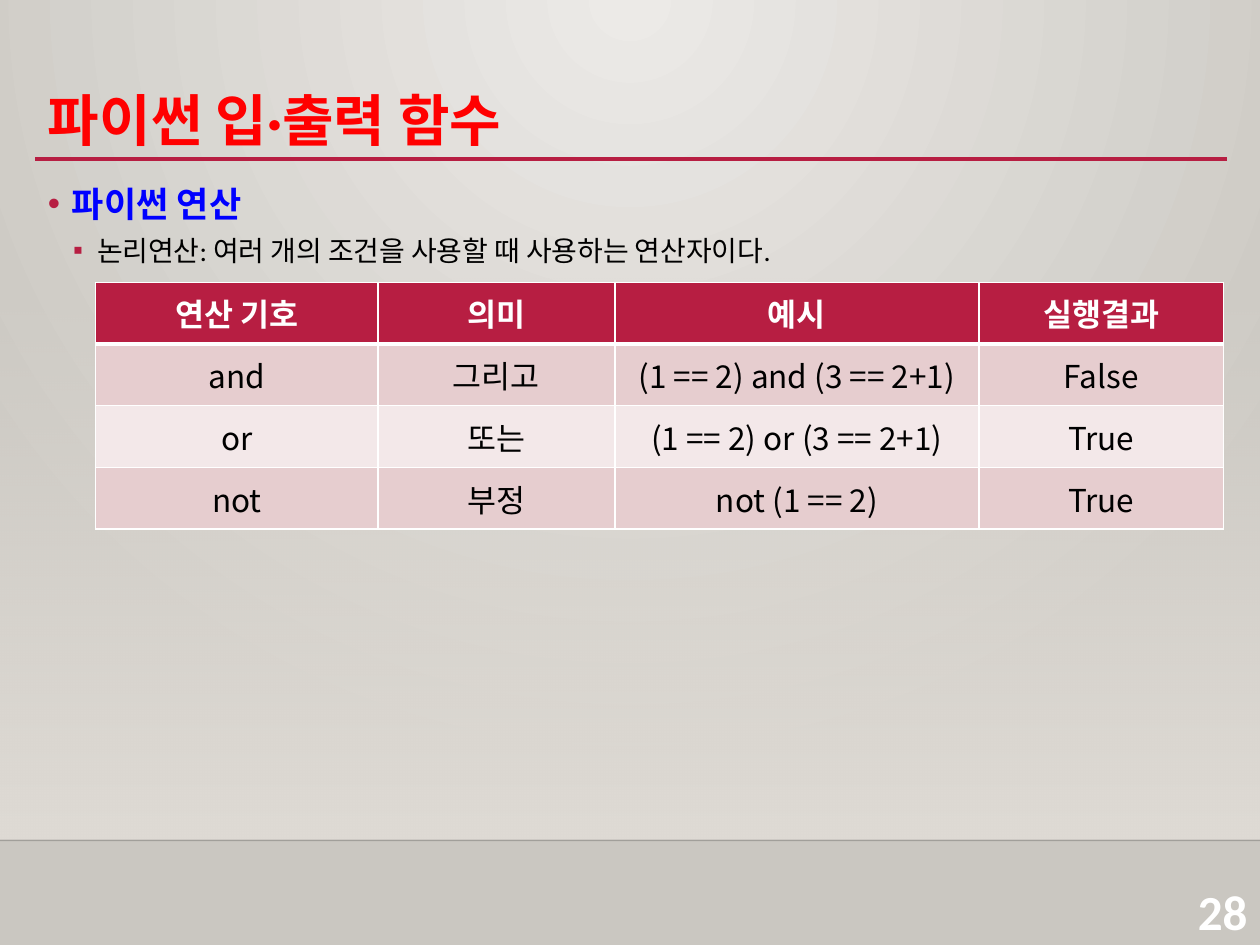
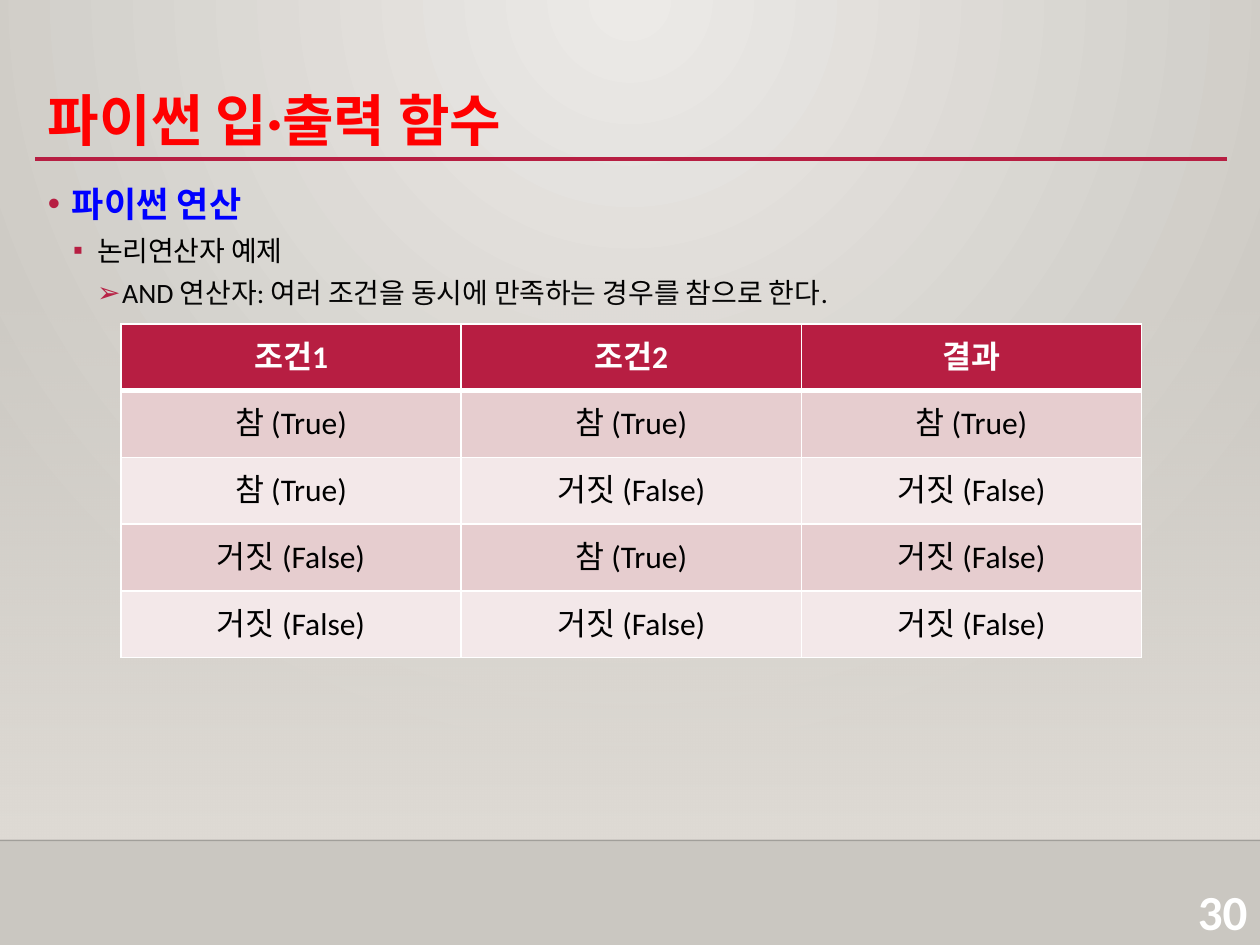
from lxml.etree import SubElement as add_child
from pptx import Presentation
from pptx.dml.color import RGBColor
from pptx.enum.shapes import MSO_CONNECTOR as Connector, MSO_SHAPE as Shape
from pptx.enum.text import MSO_ANCHOR as Anchor, MSO_AUTO_SIZE as AutoSize, PP_ALIGN as Align
from pptx.oxml.ns import qn
from pptx.util import Inches, Pt

CRIMSON = RGBColor(0xB7, 0x1E, 0x42)
PINK = RGBColor(0xE6, 0xCD, 0xCF)
PALE_PINK = RGBColor(0xF3, 0xE8, 0xE9)
RED = RGBColor(0xFF, 0x00, 0x00)
BLUE = RGBColor(0x00, 0x00, 0xFF)
BLACK = RGBColor(0x00, 0x00, 0x00)
WHITE = RGBColor(0xFF, 0xFF, 0xFF)
NEAR_BLACK = RGBColor(0x00, 0x00, 0x01)
LIGHT_GREY = RGBColor(0xEC, 0xEA, 0xE7)
DARK_GREY = RGBColor(0xCA, 0xC7, 0xC1)
SAND = RGBColor(0xDF, 0xDB, 0xD5)

CALIBRI = "Calibri"
NOTO = "Noto Sans CJK KR"
TITLE = "파이썬 입·출력 함수"
TOPIC = "파이썬 연산"
TRUE = "참 (True)"
FALSE = "거짓 (False)"

BULLETS = [
    ("•", 0.19, 0.19, 10, 20, BLUE, True),
    ("▪", 0.39, 0.19, 5, 16, BLACK, False),
    ("➢", 0.59, 0.2, 5, 16, BLACK, False),
]


def set_font(paragraph, size, color, bold, name=CALIBRI):
    font = paragraph.font
    font.name, font.size, font.bold = name, Pt(size), bold
    font.color.rgb = color
    properties = paragraph._p.pPr.find(qn("a:defRPr"))
    add_child(properties, qn("a:ea"), typeface=name)


def place(shape, left, top, width, height):
    shape.left, shape.top = Inches(left), Inches(top)
    shape.width, shape.height = Inches(width), Inches(height)


def set_alpha(shape, percent):
    color = shape.element.find(".//" + qn("a:srgbClr"))
    add_child(color, qn("a:alpha"), val=str(percent * 1000))


def set_stops(fill, *colors):
    fill.gradient()
    for stop, color in zip(fill.gradient_stops, colors):
        stop.color.rgb = color


def paint_background(master):
    set_stops(master.background.fill, LIGHT_GREY, DARK_GREY)
    gradient = master.element.find(".//" + qn("a:gradFill"))
    gradient.remove(gradient.find(qn("a:lin")))
    circle = add_child(gradient, qn("a:path"), path="circle")
    add_child(circle, qn("a:fillToRect"), l="43000", t="0", r="43000", b="100000")


def add_line(page, left, right, top, color, width):
    line = page.shapes.add_connector(
        Connector.STRAIGHT, Inches(left), Inches(top), Inches(right), Inches(top))
    line.line.color.rgb = color
    line.line.width = Pt(width)
    add_child(line.element.spPr, qn("a:effectLst"))
    return line


def add_floor(page):
    glow = page.shapes.add_shape(
        Shape.RECTANGLE, Inches(0), Inches(2.2), Inches(10), Inches(4.46))
    glow.shadow.inherit = False
    glow.line.fill.background()
    set_stops(glow.fill, SAND, SAND)
    glow.fill.gradient_angle = 270
    set_alpha(glow, 0)
    set_alpha(add_line(page, 0, 10, 6.67, NEAR_BLACK, 1), 20)


def add_page_number(page, number):
    box = page.shapes.add_textbox(
        Inches(9.13), Inches(6.95), Inches(0.87), Inches(0.55))
    box.text_frame.word_wrap = True
    para = box.text_frame.paragraphs[0]
    para.text = str(number)
    para.alignment = Align.RIGHT
    set_font(para, 28, WHITE, True)


def fill_title(page):
    title = page.shapes.title
    place(title, 0.28, 0.11, 9.45, 1.15)
    frame = title.text_frame
    frame.text = TITLE
    frame.auto_size = AutoSize.NONE
    frame.vertical_anchor = Anchor.BOTTOM
    para = frame.paragraphs[0]
    para.alignment = Align.LEFT
    para.line_spacing = 1.5
    set_font(para, 32, RED, True)


def fill_body(page, lines):
    body = page.placeholders[1]
    place(body, 0.28, 1.4, 9.45, 5.22)
    frame = body.text_frame
    frame.text = "\n".join(lines)
    frame.auto_size = AutoSize.NONE
    for level, (para, style) in enumerate(zip(frame.paragraphs, BULLETS)):
        mark, margin, hanging, before, size, color, bold = style
        para.level = level
        para.space_before = Pt(before)
        properties = para._p.get_or_add_pPr()
        properties.set("marL", str(Inches(margin)))
        properties.set("indent", str(-Inches(hanging)))
        bullet_color = add_child(properties, qn("a:buClr"))
        add_child(bullet_color, qn("a:srgbClr"), val=str(CRIMSON))
        add_child(properties, qn("a:buChar"), char=mark)
        set_font(para, size, color, bold)


def add_borders(cell, top, bottom):
    properties = cell._tc.get_or_add_tcPr()
    for side, width in (("L", 1), ("R", 1), ("T", top), ("B", bottom)):
        border = add_child(properties, qn("a:ln" + side), w=str(Pt(width)))
        fill = add_child(border, qn("a:solidFill"))
        add_child(fill, qn("a:srgbClr"), val=str(WHITE))


def add_grid(page, left, top, widths, row_height, rows, font_name):
    frame = page.shapes.add_table(
        len(rows), len(widths), Inches(left), Inches(top),
        Inches(sum(widths)), Inches(row_height * len(rows)))
    table = frame.table
    table.horz_banding = False
    for column, width in zip(table.columns, widths):
        column.width = Inches(width)
    for index, texts in enumerate(rows):
        header = index == 0
        table.rows[index].height = Inches(row_height)
        band = CRIMSON if header else PINK if index % 2 else PALE_PINK
        for cell, text in zip(table.rows[index].cells, texts):
            add_borders(cell, 3 if index == 1 else 1, 3 if header else 1)
            cell.fill.solid()
            cell.fill.fore_color.rgb = band
            cell.vertical_anchor = Anchor.MIDDLE
            para = cell.text_frame.paragraphs[0]
            para.text = text
            para.alignment = Align.CENTER
            set_font(para, 18, WHITE if header else BLACK, header, font_name)


def add_page(deck, number, lines):
    page = deck.slides.add_slide(deck.slide_layouts[1])
    add_floor(page)
    add_page_number(page, number)
    add_line(page, 0.28, 9.74, 1.26, CRIMSON, 2.5)
    fill_title(page)
    fill_body(page, [TOPIC, *lines])
    return page


def main():
    deck = Presentation()
    deck.slide_width, deck.slide_height = Inches(10), Inches(7.5)
    paint_background(deck.slide_master)

    operators = add_page(deck, 28, [
        "논리연산: 여러 개의 조건을 사용할 때 사용하는 연산자이다.",
    ])
    add_grid(operators, 0.76, 2.24, [2.24, 1.88, 2.89, 1.94], 0.49, [
        ("연산 기호", "의미", "예시", "실행결과"),
        ("and", "그리고", "(1 == 2) and (3 == 2+1)", "False"),
        ("or", "또는", "(1 == 2) or (3 == 2+1)", "True"),
        ("not", "부정", "not (1 == 2)", "True"),
    ], NOTO)

    and_example = add_page(deck, 30, [
        "논리연산자 예제",
        "AND 연산자: 여러 조건을 동시에 만족하는 경우를 참으로 한다.",
    ])
    add_grid(and_example, 0.96, 2.57, [2.7] * 3, 0.53, [
        ("조건1", "조건2", "결과"),
        (TRUE, TRUE, TRUE),
        (TRUE, FALSE, FALSE),
        (FALSE, TRUE, FALSE),
        (FALSE, FALSE, FALSE),
    ], CALIBRI)

    deck.save("out.pptx")


if __name__ == "__main__":
    main()
